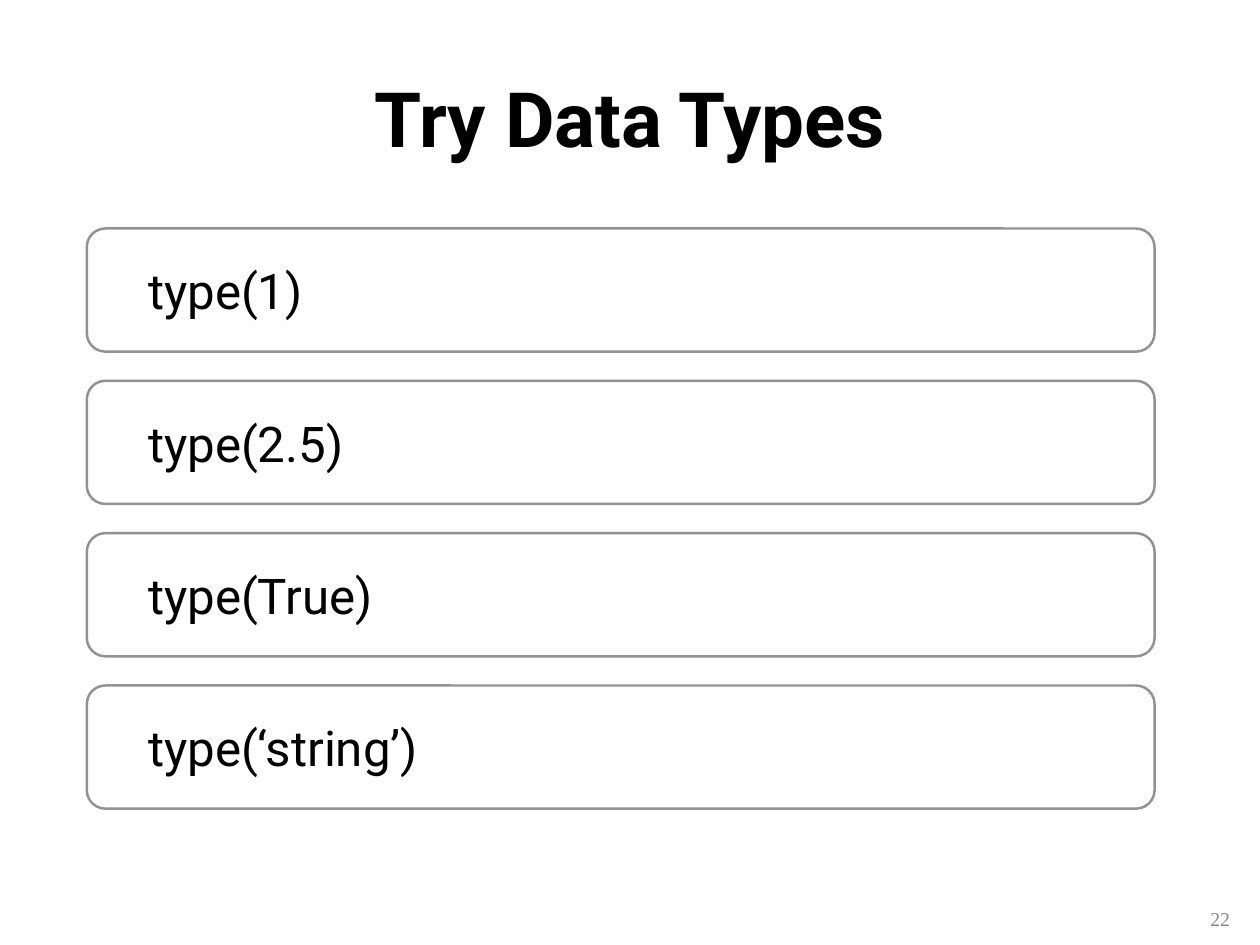
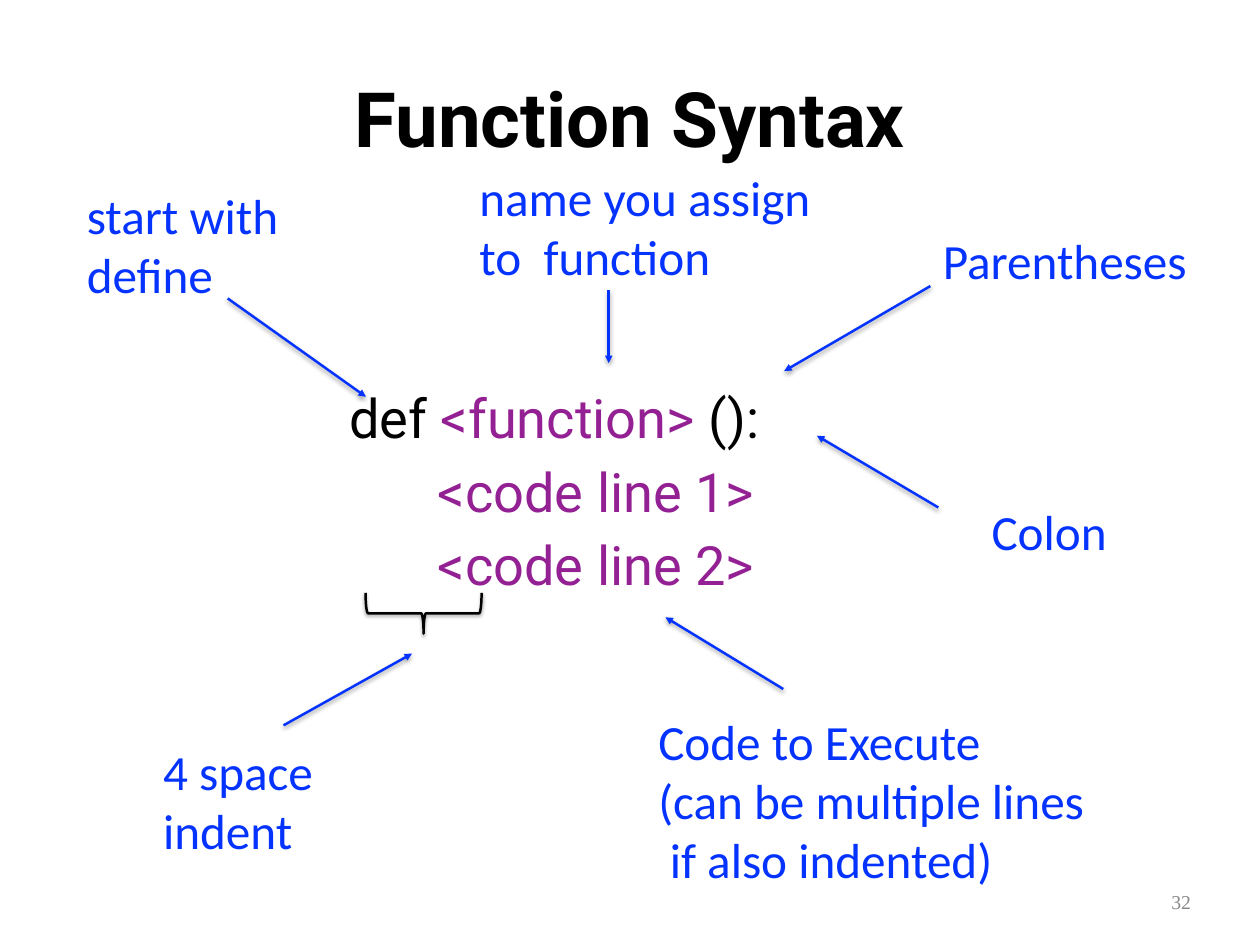
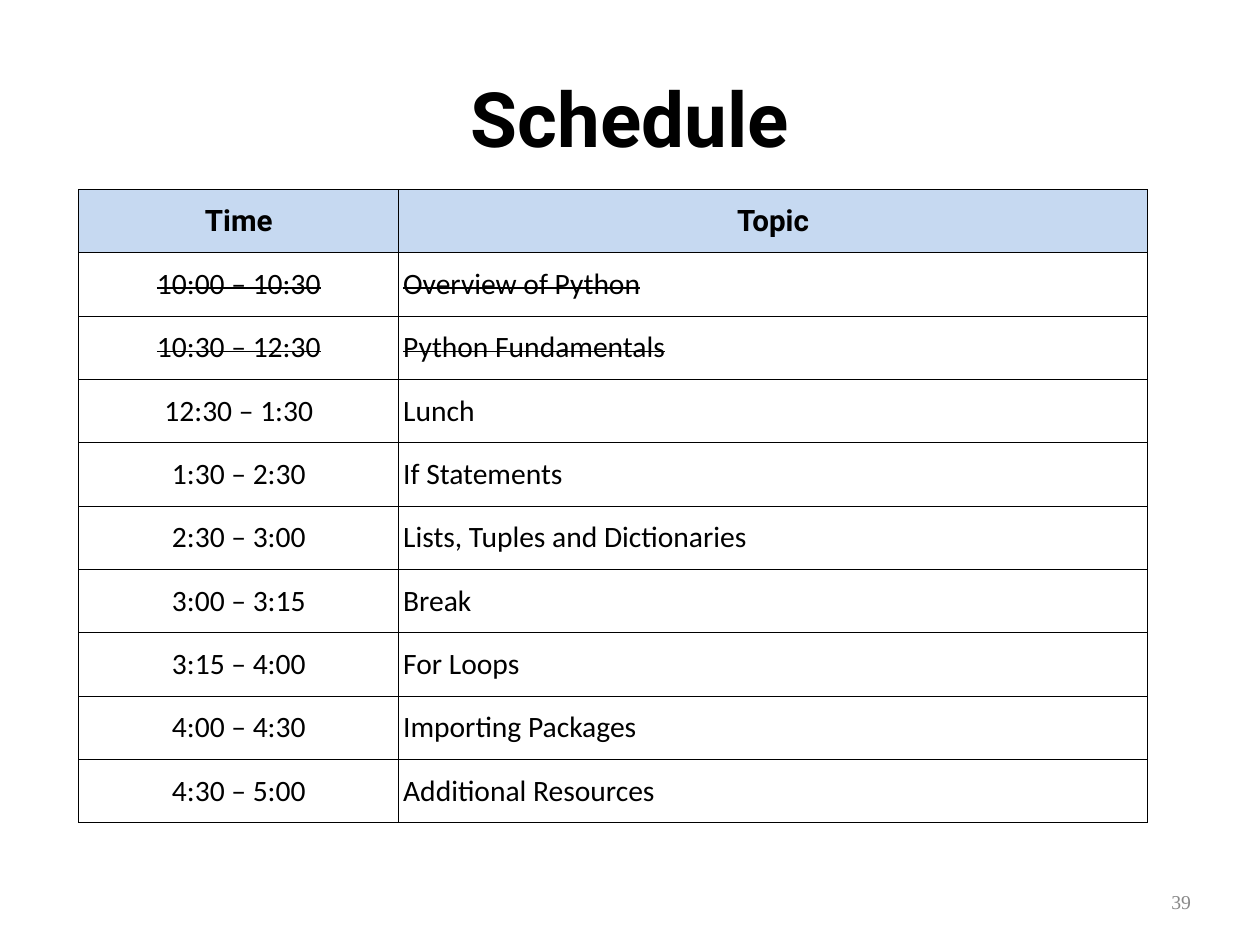
"""Build three Python workshop slides: data types, function syntax and schedule."""
from dataclasses import dataclass, replace
from typing import NamedTuple

from lxml.etree import SubElement
from pptx import Presentation
from pptx.dml.color import RGBColor
from pptx.enum.shapes import MSO_CONNECTOR, MSO_SHAPE
from pptx.enum.text import MSO_ANCHOR, PP_ALIGN
from pptx.oxml.ns import qn
from pptx.util import Inches, Pt


@dataclass(frozen=True)
class TextStyle:
    size: int
    font: str
    color: str
    bold: bool = False
    strike: bool = False


@dataclass(frozen=True)
class Theme:
    black: str = "000000"
    blue: str = "0433FF"
    gray: str = "929292"
    header_fill: str = "C6D9F1"
    title: TextStyle = TextStyle(62, "Roboto", "000000", bold=True)
    page_number: TextStyle = TextStyle(16, "Times New Roman", "888888")
    example: TextStyle = TextStyle(40, "Roboto", "000000")
    code: TextStyle = TextStyle(44, "Roboto", "000000")
    code_slot: TextStyle = TextStyle(44, "Roboto", "942193")
    label: TextStyle = TextStyle(40, "Calibri", "0433FF")
    table_header: TextStyle = TextStyle(24, "Roboto", "000000", bold=True)
    table_body: TextStyle = TextStyle(24, "Calibri", "000000")
    line_width: float = 2
    border_width: float = 1
    text_inset: float = 0.07
    cell_inset: float = 0.05


THEME = Theme()


class Box(NamedTuple):
    left: float
    top: float
    width: float
    height: float


class Span(NamedTuple):
    text: str
    style: TextStyle


class Line(NamedTuple):
    spans: tuple[Span, ...]
    indent: float = 0
    space_before: float = 0


class Label(NamedTuple):
    box: Box
    texts: tuple[str, ...]
    last_indent: float = 0


class Arrow(NamedTuple):
    start: tuple[float, float]
    end: tuple[float, float]


class Session(NamedTuple):
    time: str
    topic: str
    done: bool = False


EXAMPLES = ("type(1)", "type(2.5)", "type(True)", "type(‘string’)")

CODE_LINES = (
    Line((Span("def ", THEME.code), Span("<function> ", THEME.code_slot), Span("():", THEME.code))),
    Line((Span("<code line 1>", THEME.code_slot),), 1, 7),
    Line((Span("<code line 2>", THEME.code_slot),), 1, 7),
)

LABELS = (
    Label(Box(0.91, 2.02, 2.53, 1.48), ("start with", "define")),
    Label(Box(5.34, 1.82, 4.51, 1.48), ("name you assign", "to  function")),
    Label(Box(10.57, 2.53, 3.28, 0.81), ("Parentheses",)),
    Label(Box(11.12, 5.59, 1.61, 0.81), ("Colon",)),
    Label(Box(1.77, 8.3, 2.41, 1.48), ("4 space", "indent")),
    Label(Box(7.36, 7.96, 5.53, 2.14),
          ("Code to Execute", "(can be multiple lines", "if also indented)"), 0.13),
)

ARROWS = (
    Arrow((2.57, 3.37), (4.13, 4.48)),
    Arrow((6.87, 3.28), (6.87, 4.1)),
    Arrow((10.5, 3.23), (8.85, 4.19)),
    Arrow((10.59, 5.73), (9.22, 4.92)),
    Arrow((8.84, 7.78), (7.51, 6.97)),
    Arrow((3.2, 8.19), (4.65, 7.38)),
)

SESSIONS = (
    Session("10:00 – 10:30", "Overview of Python", True),
    Session("10:30 – 12:30", "Python Fundamentals", True),
    Session("12:30 – 1:30", "Lunch"),
    Session("1:30 – 2:30", "If Statements"),
    Session("2:30 – 3:00", "Lists, Tuples and Dictionaries"),
    Session("3:00 – 3:15", "Break"),
    Session("3:15 – 4:00", "For Loops"),
    Session("4:00 – 4:30", "Importing Packages"),
    Session("4:30 – 5:00", "Additional Resources"),
)


def inches(values) -> list:
    return [Inches(value) for value in values]


def color_of(code: str) -> RGBColor:
    return RGBColor.from_string(code)


def format_run(run, style: TextStyle) -> None:
    run.font.size = Pt(style.size)
    run.font.name = style.font
    run.font.bold = style.bold
    run.font.color.rgb = color_of(style.color)
    if style.strike:
        run._r.get_or_add_rPr().set("strike", "sngStrike")


def write_paragraph(paragraph, line: Line, align=PP_ALIGN.LEFT) -> None:
    paragraph.alignment = align
    if line.indent:
        properties = paragraph._p.get_or_add_pPr()
        properties.set("marL", str(Inches(line.indent)))
        properties.set("indent", "0")
    if line.space_before:
        paragraph.space_before = Pt(line.space_before)
    for span in line.spans:
        run = paragraph.add_run()
        run.text = span.text
        format_run(run, span.style)


def fill_frame(shape, lines, align=PP_ALIGN.LEFT, anchor=MSO_ANCHOR.TOP) -> None:
    frame = shape.text_frame
    frame.word_wrap = True
    frame.vertical_anchor = anchor
    inset = Inches(THEME.text_inset)
    frame.margin_left = frame.margin_right = frame.margin_top = frame.margin_bottom = inset
    for index, line in enumerate(lines):
        paragraph = frame.add_paragraph() if index else frame.paragraphs[0]
        write_paragraph(paragraph, line, align)


def add_text(slide, box: Box, lines, align=PP_ALIGN.LEFT, anchor=MSO_ANCHOR.TOP) -> None:
    fill_frame(slide.shapes.add_textbox(*inches(box)), lines, align, anchor)


def format_line(shape, color: str) -> None:
    shape.line.color.rgb = color_of(color)
    shape.line.width = Pt(THEME.line_width)


def cast_shadow(shape, blur: float, distance: float) -> None:
    effects = SubElement(shape._element.spPr, qn("a:effectLst"))
    shadow = SubElement(effects, qn("a:outerShdw"), blurRad=str(Pt(blur)),
                        dist=str(Pt(distance)), dir="5400000", rotWithShape="0")
    color = SubElement(shadow, qn("a:srgbClr"), val=THEME.black)
    SubElement(color, qn("a:alpha"), val="38000")


def add_base_slide(presentation, title: str, number: int, number_box=Box(10.19, 9.97, 3.32, 0.41)):
    slide = presentation.slides.add_slide(presentation.slide_layouts[6])
    add_text(slide, Box(0.71, 0.14, 12.8, 2.35), [Line((Span(title, THEME.title),))],
             PP_ALIGN.CENTER, MSO_ANCHOR.MIDDLE)
    add_text(slide, number_box, [Line((Span(str(number), THEME.page_number),))],
             PP_ALIGN.RIGHT, MSO_ANCHOR.MIDDLE)
    return slide


def add_example(slide, box: Box, text: str) -> None:
    shape = slide.shapes.add_shape(MSO_SHAPE.ROUNDED_RECTANGLE, *inches(box))
    shape.adjustments[0] = 0.15
    shape.shadow.inherit = False
    shape.fill.background()
    format_line(shape, THEME.gray)
    fill_frame(shape, [Line((Span(text, THEME.example),), 0.56)], anchor=MSO_ANCHOR.MIDDLE)


def add_arrow(slide, arrow: Arrow) -> None:
    connector = slide.shapes.add_connector(MSO_CONNECTOR.STRAIGHT,
                                           *inches(arrow.start + arrow.end))
    format_line(connector, THEME.blue)
    SubElement(connector.line._get_or_add_ln(), qn("a:tailEnd"), type="triangle")
    cast_shadow(connector, 4, 2)


def add_indent_brace(slide) -> None:
    brace = slide.shapes.add_shape(MSO_SHAPE.RIGHT_BRACE, *inches(Box(4.55, 6.27, 0.46, 1.31)))
    brace.rotation = 90
    brace.adjustments[0] = 0.06
    brace.fill.background()
    format_line(brace, THEME.black)
    cast_shadow(brace, 3, 1.6)


def add_label(slide, label: Label) -> None:
    last = len(label.texts) - 1
    lines = [Line((Span(text, THEME.label),), label.last_indent if index == last else 0)
             for index, text in enumerate(label.texts)]
    add_text(slide, label.box, lines)


def format_cell(cell, text: str, style: TextStyle, align, fill: str = "") -> None:
    cell.vertical_anchor = MSO_ANCHOR.MIDDLE
    inset = Inches(THEME.cell_inset)
    cell.margin_left = cell.margin_right = cell.margin_top = cell.margin_bottom = inset
    properties = cell._tc.get_or_add_tcPr()
    for side in ("lnL", "lnR", "lnT", "lnB"):
        border = SubElement(properties, qn(f"a:{side}"), w=str(Pt(THEME.border_width)))
        SubElement(SubElement(border, qn("a:solidFill")), qn("a:srgbClr"), val=THEME.black)
    if fill:
        cell.fill.solid()
        cell.fill.fore_color.rgb = color_of(fill)
    else:
        cell.fill.background()
    write_paragraph(cell.text_frame.paragraphs[0], Line((Span(text, style),)), align)


def build_data_types(presentation) -> None:
    slide = add_base_slide(presentation, "Try Data Types", 22, Box(10.63, 10.17, 3.32, 0.41))
    pitch = 1.72
    for index, text in enumerate(EXAMPLES):
        add_example(slide, Box(0.98, 2.58 + index * pitch, 12.05, 1.39), text)


def build_function_syntax(presentation) -> None:
    slide = add_base_slide(presentation, "Function Syntax", 32)
    add_text(slide, Box(3.87, 4.27, 6.01, 3.01), CODE_LINES)
    for arrow in ARROWS:
        add_arrow(slide, arrow)
    add_indent_brace(slide)
    for label in LABELS:
        add_label(slide, label)


def build_schedule(presentation) -> None:
    slide = add_base_slide(presentation, "Schedule", 39)
    frame = slide.shapes.add_table(len(SESSIONS) + 1, 2, *inches(Box(0.89, 2.14, 12.06, 7.15)))
    table = frame.table
    table.first_row = table.horz_banding = False
    for column, width in zip(table.columns, (3.61, 8.45)):
        column.width = Inches(width)
    for index, heading in enumerate(("Time", "Topic")):
        format_cell(table.cell(0, index), heading, THEME.table_header,
                    PP_ALIGN.CENTER, THEME.header_fill)
    for row, session in enumerate(SESSIONS, start=1):
        style = replace(THEME.table_body, strike=session.done)
        format_cell(table.cell(row, 0), session.time, style, PP_ALIGN.CENTER)
        format_cell(table.cell(row, 1), session.topic, style, PP_ALIGN.LEFT)


def main() -> None:
    presentation = Presentation()
    presentation.slide_width = Inches(14.22)
    presentation.slide_height = Inches(10.67)
    build_data_types(presentation)
    build_function_syntax(presentation)
    build_schedule(presentation)
    presentation.save("out.pptx")


if __name__ == "__main__":
    main()
